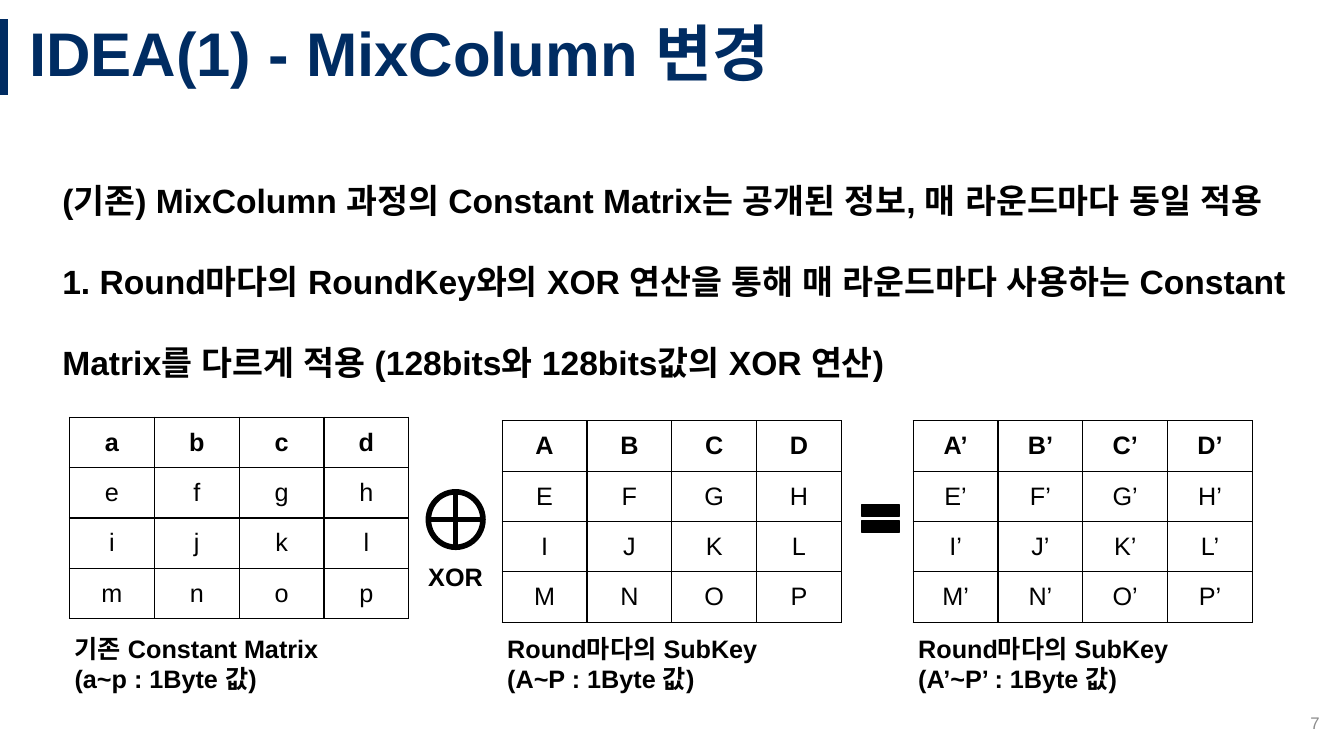
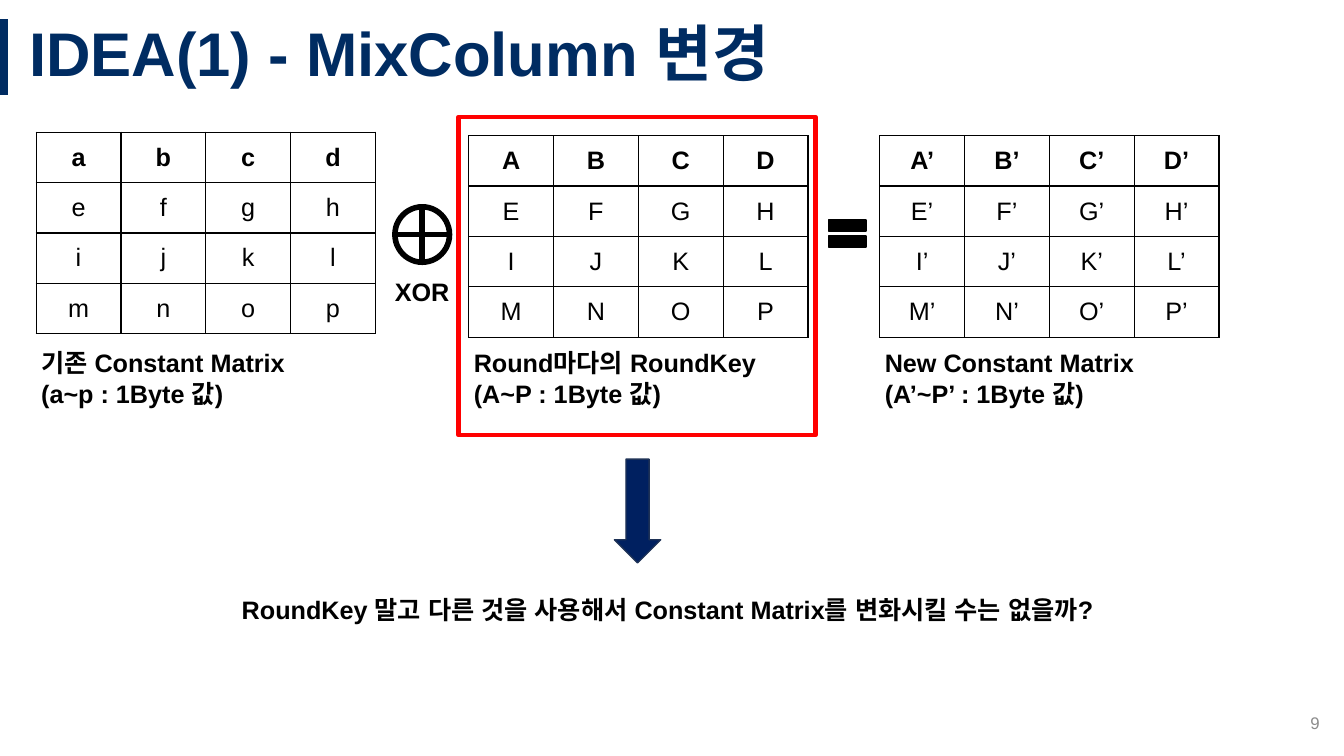
from dataclasses import dataclass
from typing import Any

from lxml import etree
from pptx import Presentation
from pptx.dml.color import RGBColor
from pptx.enum.shapes import MSO_CONNECTOR, MSO_SHAPE
from pptx.enum.text import MSO_ANCHOR, MSO_AUTO_SIZE, PP_ALIGN
from pptx.oxml.ns import qn
from pptx.util import Pt

# Shared style
COLORS = {
    "title": "002C62", "text": "000000", "page": "8C8C8C", "paper": "FFFFFF",
    "frame": "FF0000", "arrow": "002060", "arrow_edge": "1E3256",
}
FONT = "Arial"
TITLE = "IDEA(1) - MixColumn 변경"
GRID = 4
COL_W, ROW_H = 60.6, 36


@dataclass(frozen=True)
class Style:
    size: float
    color: str = "text"
    bold: bool = True
    align: Any = PP_ALIGN.LEFT
    spacing: float = 1.0
    anchor: Any = MSO_ANCHOR.TOP
    grow: bool = True


@dataclass(frozen=True)
class Matrix:
    dx: float
    dy: float
    letters: str
    mark: str = ""


TITLE_STYLE = Style(44, "title", spacing=0.9, anchor=MSO_ANCHOR.MIDDLE, grow=False)
PAGE_STYLE = Style(12, "page", False, PP_ALIGN.RIGHT, anchor=MSO_ANCHOR.MIDDLE, grow=False)
BODY_STYLE = Style(24, spacing=2.0)
LABEL_STYLE = Style(18)
HEAD_CELL = Style(18, align=PP_ALIGN.CENTER)
BODY_CELL = Style(18, bold=False, align=PP_ALIGN.CENTER)

# Offsets from the top left corner of the equation
MATRICES = (
    Matrix(0, 0, "abcdefghijklmnop"),
    Matrix(309, 2.5, "ABCDEFGHIJKLMNOP"),
    Matrix(602.6, 2.5, "ABCDEFGHIJKLMNOP", "’"),
)


def rgb(name: str) -> RGBColor:
    return RGBColor.from_string(COLORS[name])


def set_attrs(obj: Any, values: dict[str, Any]) -> None:
    for name, value in values.items():
        setattr(obj, name, value)


def write(tf: Any, lines: tuple[str, ...], style: Style) -> None:
    for i, line in enumerate(lines):
        p = tf.paragraphs[0] if i == 0 else tf.add_paragraph()
        set_attrs(p, {"alignment": style.align, "line_spacing": style.spacing})
        r = p.add_run()
        r.text = line
        set_attrs(r.font, {"name": FONT, "size": Pt(style.size), "bold": style.bold})
        r.font.color.rgb = rgb(style.color)
        etree.SubElement(r.font._element, qn("a:ea"), typeface=FONT)


def add_text(s: Any, x: float, y: float, w: float, h: float, style: Style, *lines: str) -> None:
    tf = s.shapes.add_textbox(Pt(x), Pt(y), Pt(w), Pt(h)).text_frame
    auto = MSO_AUTO_SIZE.SHAPE_TO_FIT_TEXT if style.grow else MSO_AUTO_SIZE.NONE
    set_attrs(tf, {"word_wrap": True, "vertical_anchor": style.anchor, "auto_size": auto})
    write(tf, lines, style)


def add_shape(s: Any, kind: Any, x: float, y: float, w: float, h: float,
              line: str, width: float, fill: str = "") -> Any:
    sp = s.shapes.add_shape(kind, Pt(x), Pt(y), Pt(w), Pt(h))
    sp.shadow.inherit = False
    if fill:
        sp.fill.solid()
        sp.fill.fore_color.rgb = rgb(fill)
    else:
        sp.fill.background()
    sp.line.color.rgb = rgb(line)
    sp.line.width = Pt(width)
    return sp


def add_borders(cell: Any) -> None:
    tc_pr = cell._tc.get_or_add_tcPr()
    for side in ("lnL", "lnR", "lnT", "lnB"):
        ln = etree.SubElement(tc_pr, qn(f"a:{side}"), w=str(Pt(1)))
        fill = etree.SubElement(ln, qn("a:solidFill"))
        etree.SubElement(fill, qn("a:srgbClr"), val=COLORS["text"])


def add_matrix(s: Any, x: float, y: float, m: Matrix) -> None:
    table = s.shapes.add_table(GRID, GRID, Pt(x), Pt(y),
                               Pt(GRID * COL_W), Pt(GRID * ROW_H)).table
    set_attrs(table, {"first_row": False, "horz_banding": False})
    for col in table.columns:
        col.width = Pt(COL_W)
    for row in table.rows:
        row.height = Pt(ROW_H)
    for i, letter in enumerate(m.letters):
        row, col = divmod(i, GRID)
        cell = table.cell(row, col)
        add_borders(cell)
        cell.fill.solid()
        cell.fill.fore_color.rgb = rgb("paper")
        cell.vertical_anchor = MSO_ANCHOR.MIDDLE
        write(cell.text_frame, (letter + m.mark,), BODY_CELL if row else HEAD_CELL)


def add_equation(s: Any, x: float, y: float, names: tuple[str, str, str]) -> None:
    # Matrices with their captions
    for m, name in zip(MATRICES, names):
        add_matrix(s, x + m.dx, y + m.dy, m)
        first, last = m.letters[0] + m.mark, m.letters[-1] + m.mark
        add_text(s, x + m.dx - 3.5, y + 150.5, 296.6, 50.4, LABEL_STYLE,
                 name, f"({first}~{last} : 1Byte 값)")
    # Operators
    add_shape(s, MSO_SHAPE.FLOWCHART_OR, x + 256.3, y + 53.3, 39, 39.6, "text", 4, "paper")
    add_text(s, x + 249.1, y + 99.4, 57, 29, LABEL_STYLE, "XOR")
    sp = add_shape(s, MSO_SHAPE.MATH_EQUAL, x + 561, y + 56.2, 36.7, 32.4, "text", 1, "text")
    sp.adjustments[0], sp.adjustments[1] = 0.235, 0.118


def new_slide(prs: Any, page: int) -> Any:
    s = prs.slides.add_slide(prs.slide_layouts[6])
    bar = s.shapes.add_connector(MSO_CONNECTOR.STRAIGHT, Pt(2.9), Pt(13.7), Pt(2.9), Pt(67.7))
    bar.line.color.rgb = rgb("title")
    bar.line.width = Pt(6)
    etree.SubElement(bar._element.spPr, qn("a:effectLst"))
    add_text(s, 13.7, 13.7, 946, 54, TITLE_STYLE, TITLE)
    add_text(s, 733.7, 501.8, 216, 28.8, PAGE_STYLE, str(page))
    return s


def build_idea(prs: Any) -> None:
    s = new_slide(prs, 7)
    add_text(s, 37.4, 96.5, 923, 179.3, BODY_STYLE,
             "(기존) MixColumn 과정의 Constant Matrix는 공개된 정보, 매 라운드마다 동일 적용",
             "1. Round마다의 RoundKey와의 XOR 연산을 통해 매 라운드마다 사용하는 "
             "Constant Matrix를 다르게 적용 (128bits와 128bits값의 XOR 연산)")
    add_equation(s, 49.7, 298,
                 ("기존 Constant Matrix", "Round마다의 SubKey", "Round마다의 SubKey"))


def build_question(prs: Any) -> None:
    s = new_slide(prs, 9)
    add_equation(s, 25.8, 94.4,
                 ("기존 Constant Matrix", "Round마다의 RoundKey", "New Constant Matrix"))
    # Highlighted key and the question it leads to
    add_shape(s, MSO_SHAPE.RECTANGLE, 327.6, 83.5, 255, 227.5, "frame", 3)
    sp = add_shape(s, MSO_SHAPE.RIGHT_ARROW, 418.3, 348.5, 74.2, 33.1, "arrow_edge", 1, "arrow")
    sp.rotation = 90
    add_text(s, 165.6, 421.2, 643, 29, LABEL_STYLE,
             "RoundKey 말고 다른 것을 사용해서 Constant Matrix를 변화시킬 수는 없을까?")


def main() -> None:
    prs = Presentation()
    set_attrs(prs, {"slide_width": Pt(960), "slide_height": Pt(540)})
    build_idea(prs)
    build_question(prs)
    prs.save("out.pptx")


if __name__ == "__main__":
    main()
